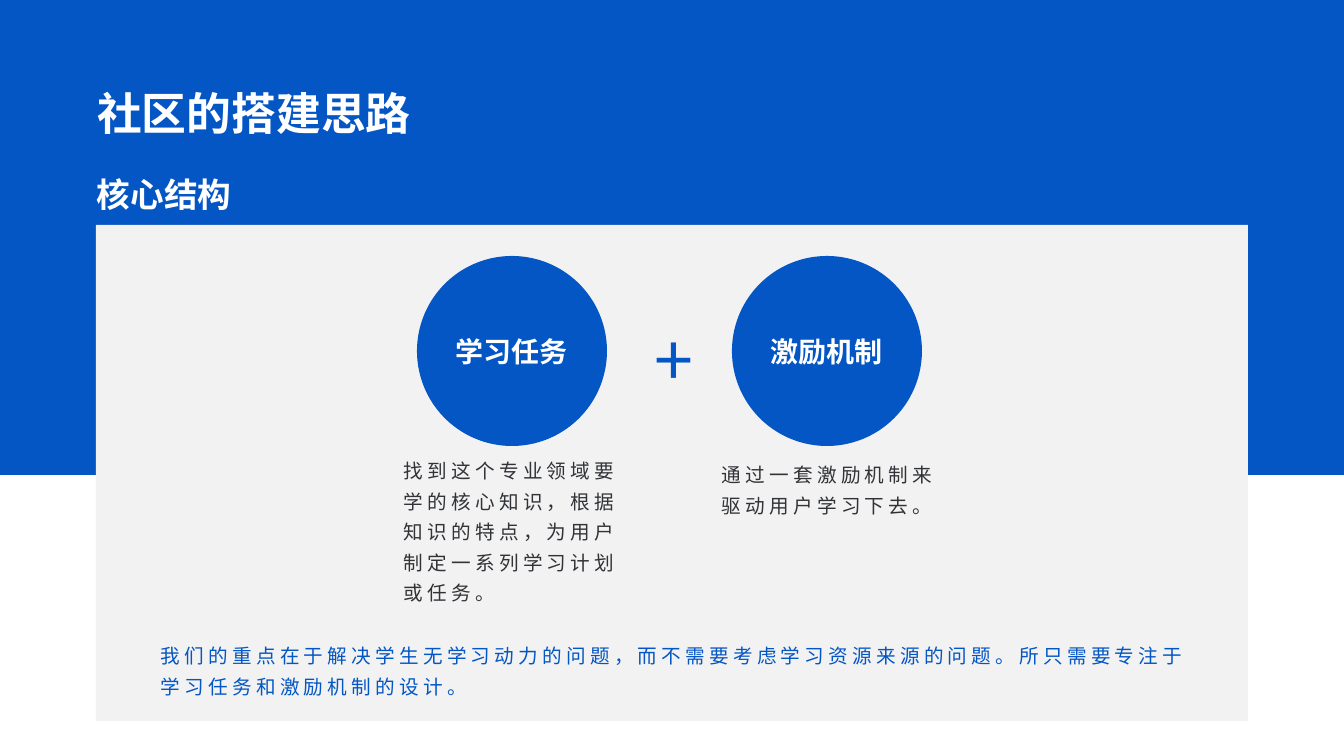
"""Build the slide on how the learning community is put together."""
from pptx import Presentation
from pptx.dml.color import RGBColor
from pptx.enum.shapes import MSO_SHAPE
from pptx.enum.text import MSO_ANCHOR, PP_ALIGN
from pptx.oxml.ns import qn
from lxml.etree import SubElement

PX = 914400 / 100.8
BLUE, WHITE, GREY, DARK = "0456C4", "FFFFFF", "F2F2F2", "313337"
CJK = "Noto Sans CJK SC"


def color(value):
    return RGBColor.from_string(value)


def write(shape, text, ink, size, font="Arial", bold=False, spacing=None, wrap=True,
          anchor=MSO_ANCHOR.TOP, align=PP_ALIGN.LEFT):
    frame = shape.text_frame
    frame.text = text
    paragraph = frame.paragraphs[0]
    run = paragraph.runs[0]
    formats = {
        frame: {"word_wrap": wrap, "vertical_anchor": anchor},
        paragraph: {"alignment": align, "line_spacing": 1.3 if spacing else 1.0},
        run.font: {"name": font, "size": int(size * 12700), "bold": bold},
    }
    for target, values in formats.items():
        for name, value in values.items():
            setattr(target, name, value)
    run.font.color.rgb = color(ink)
    properties = run.font._element
    SubElement(properties, qn("a:ea")).set("typeface", font)
    if spacing:
        properties.set("spc", str(spacing * 100))


presentation = Presentation()
presentation.slide_width = round(1344 * PX)
presentation.slide_height = round(756 * PX)
slide = presentation.slides.add_slide(presentation.slide_layouts[5])

shapes = {}
for name, kind, box, fill in [
    ("band", MSO_SHAPE.RECTANGLE, (0, 0, 1344, 475), BLUE),
    ("panel", MSO_SHAPE.RECTANGLE, (96, 225, 1152, 496), GREY),
    ("学习任务", MSO_SHAPE.OVAL, (417, 256, 190, 190), BLUE),
    ("激励机制", MSO_SHAPE.OVAL, (732, 256, 190, 190), BLUE),
]:
    shape = slide.shapes.add_shape(kind, *[round(length * PX) for length in box])
    shape.shadow.inherit = False
    shape.fill.solid()
    shape.fill.fore_color.rgb = color(fill)
    shape.line.fill.background()
    shapes[name] = shape

for label in ("学习任务", "激励机制"):
    write(shapes[label], label, WHITE, 20, CJK, bold=True,
          anchor=MSO_ANCHOR.MIDDLE, align=PP_ALIGN.CENTER)

title = slide.shapes.title
for side, length in {"left": 87, "top": 81, "width": 337, "height": 65}.items():
    setattr(title, side, round(length * PX))
write(title, "社区的搭建思路", WHITE, 32, bold=True, wrap=False)
slide.shapes._spTree.append(title._element)

heading = {"ink": WHITE, "size": 24, "bold": True, "wrap": False}
body = {"ink": DARK, "size": 14, "spacing": 3}
for text, box, style in [
    ("核心结构", (87, 169, 156, 50), heading),
    ("找到这个专业领域要学的核心知识，根据知识的特点，为用户制定一系列学习计划或任务。",
     (394, 447, 251, 161), body),
    ("通过一套激励机制来驱动用户学习下去。", (712, 451, 251, 69), body),
    ("我们的重点在于解决学生无学习动力的问题，而不需要考虑学习资源来源的问题。"
     "所只需要专注于学习任务和激励机制的设计。", (151, 632, 1058, 69), body | {"ink": BLUE}),
    ("+", (645, 286, 47, 110),
     body | {"ink": BLUE, "size": 50, "font": CJK, "align": PP_ALIGN.CENTER}),
]:
    textbox = slide.shapes.add_textbox(*[round(length * PX) for length in box])
    write(textbox, text, **style)

presentation.save("out.pptx")
